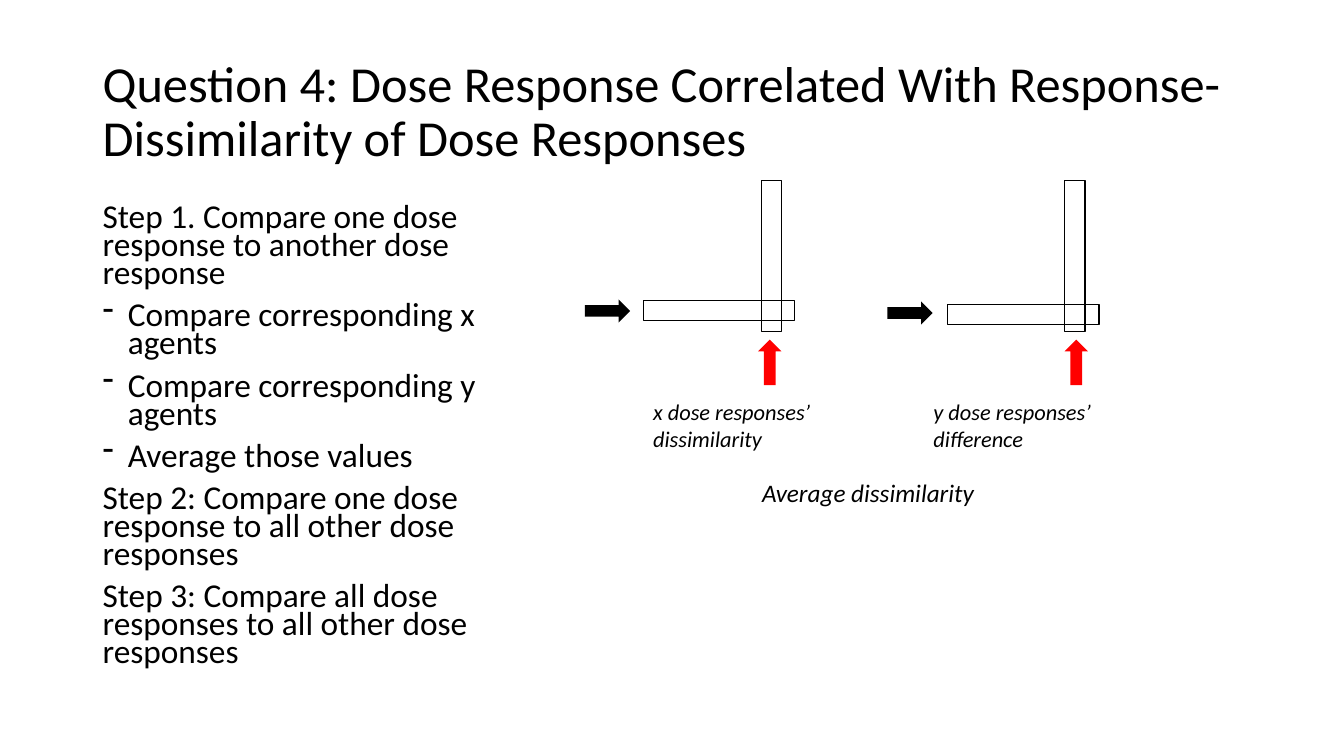
from lxml.etree import SubElement
from pptx import Presentation
from pptx.dml.color import RGBColor
from pptx.enum.shapes import MSO_SHAPE
from pptx.enum.text import MSO_ANCHOR
from pptx.oxml.ns import qn
from pptx.util import Inches, Pt

INK = {"black": "000000", "red": "FF0000"}
TITLE = "Question 4: Dose Response Correlated With Response-\vDissimilarity of Dose Responses"
STEPS = [
    ("Step 1. Compare one dose response to another dose response", False),
    ("Compare corresponding x agents", True),
    ("Compare corresponding y agents", True),
    ("Average those values", True),
    ("Step 2: Compare one dose response to all other dose responses", False),
    ("Step 3: Compare all dose responses to all other dose responses", False),
]
BARS = [(6.38, 2.98, 0), (6.9, 2.44, 90), (9.4, 3.02, 0), (9.91, 2.44, 90)]
ARROWS = [
    (5.8, 2.97, 0, "black"),
    (8.8, 2.99, 0, "black"),
    (7.41, 3.48, 270, "red"),
    (10.45, 3.48, 270, "red"),
]
NOTES = [
    ("x dose responses’ dissimilarity", (6.38, 3.9, 2.16, 0.64), 16),
    ("y dose responses’ difference", (9.16, 3.9, 2.31, 0.64), 16),
    ("Average dissimilarity", (7.46, 4.69, 2.45, 0.4), 18),
]


def color(name):
    return RGBColor.from_string(INK[name])


def apply(item, style):
    for key, value in style.items():
        setattr(item, key, value)


def add_dash(para):
    props = para._p.get_or_add_pPr()
    props.set("marL", str(Inches(0.25)))
    props.set("indent", str(Inches(-0.25)))
    SubElement(props, qn("a:buFontTx"))
    SubElement(props, qn("a:buChar"), char="-")


def add_text(slide, box, lines, size, space=None, gap=0, italic=False, anchor=MSO_ANCHOR.TOP):
    frame = slide.shapes.add_textbox(*map(Inches, box)).text_frame
    apply(frame, {"word_wrap": True, "vertical_anchor": anchor})
    face = {"name": "Calibri", "size": Pt(size), "italic": italic}
    for index, (text, dash) in enumerate(lines):
        para = frame.add_paragraph() if index else frame.paragraphs[0]
        para.text = text
        apply(para, {"line_spacing": space, "space_before": Pt(gap if index else 0)})
        if dash:
            add_dash(para)
        for run in para.runs:
            apply(run.font, face)
            run.font.color.rgb = color("black")


def add_bar(slide, left, top, turn):
    box = map(Inches, (left, top, 1.5, 0.2))
    bar = slide.shapes.add_shape(MSO_SHAPE.RECTANGLE, *box)
    bar.rotation = turn
    bar.shadow.inherit = False
    bar.fill.background()
    bar.line.color.rgb = color("black")
    bar.line.width = Pt(1)


def add_arrow(slide, left, top, turn, ink):
    box = map(Inches, (left, top, 0.45, 0.23))
    arrow = slide.shapes.add_shape(MSO_SHAPE.RIGHT_ARROW, *box)
    arrow.rotation = turn
    arrow.shadow.inherit = False
    arrow.fill.solid()
    arrow.fill.fore_color.rgb = color(ink)
    arrow.line.fill.background()


def main():
    deck = Presentation()
    apply(deck, {"slide_width": Inches(13.33), "slide_height": Inches(7.5)})
    slide = deck.slides.add_slide(deck.slide_layouts[6])
    add_text(slide, (0.92, 0.4, 11.5, 1.45), [(TITLE, False)], 36, 0.9, anchor=MSO_ANCHOR.MIDDLE)
    add_text(slide, (0.92, 2, 4.6, 4.76), STEPS, 23.8, 0.7, 10)
    for bar in BARS:
        add_bar(slide, *bar)
    for arrow in ARROWS:
        add_arrow(slide, *arrow)
    for text, box, size in NOTES:
        add_text(slide, box, [(text, False)], size, italic=True)
    deck.save("out.pptx")


if __name__ == "__main__":
    main()
